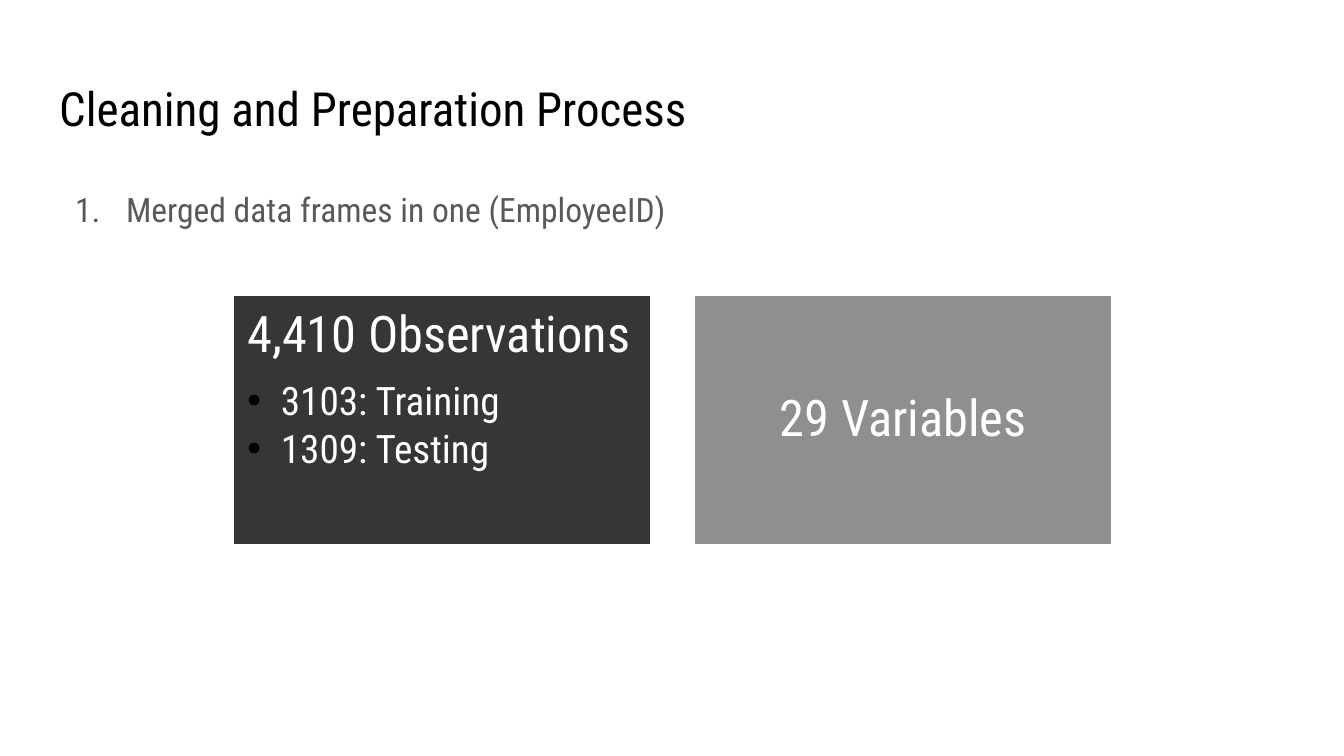
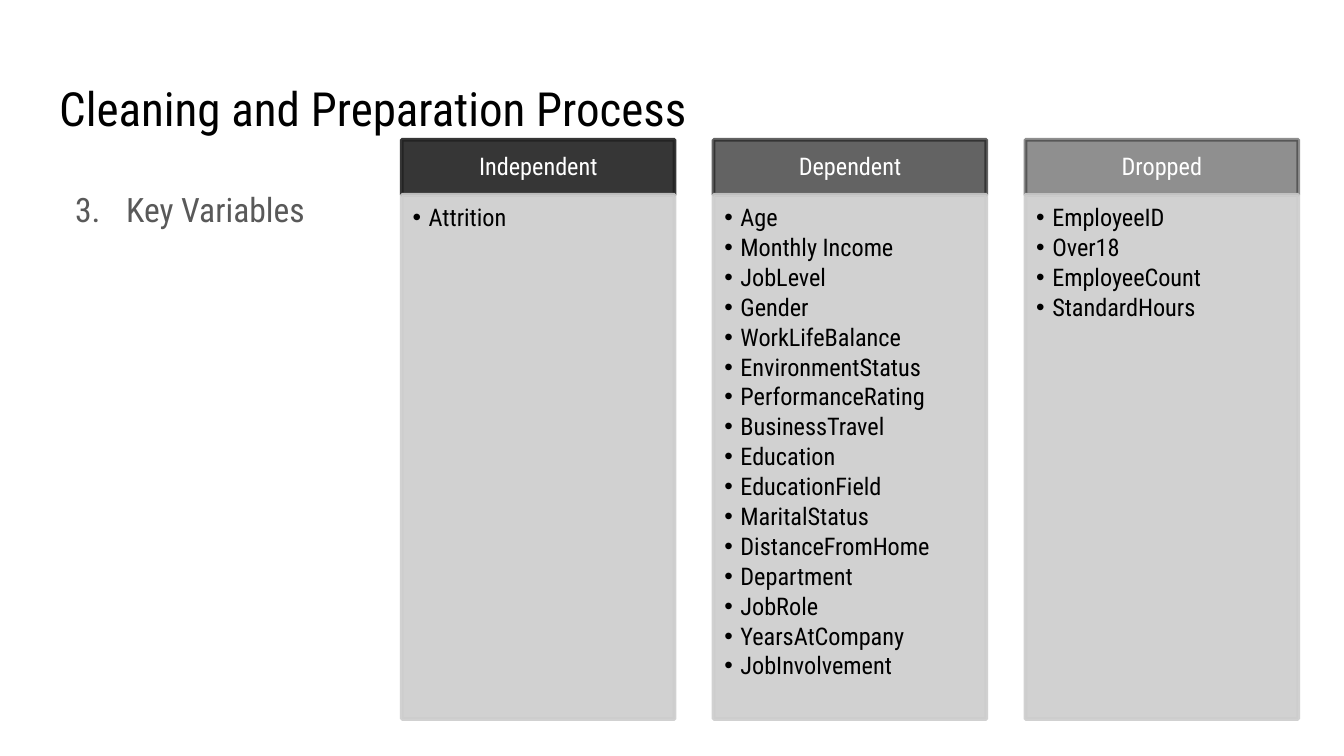
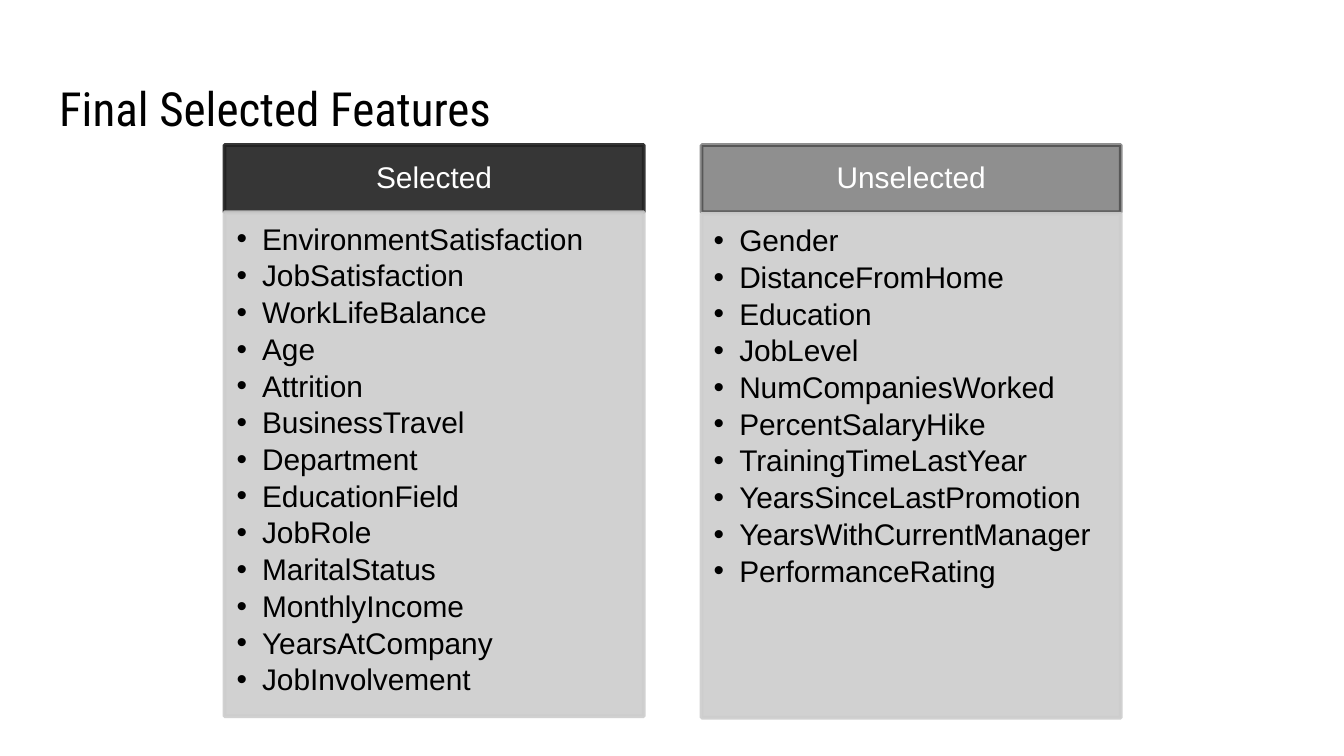
from lxml.etree import SubElement
from pptx import Presentation
from pptx.dml.color import RGBColor
from pptx.enum.shapes import MSO_SHAPE
from pptx.enum.text import MSO_ANCHOR, MSO_AUTO_SIZE, PP_ALIGN
from pptx.oxml.ns import qn
from pptx.util import Inches, Pt

BLACK, WHITE, INK, GRAY, STEP_GRAY = "000000", "FFFFFF", "212121", "CDCDCD", "595959"
CONDENSED = "Roboto Condensed"
MARGIN, CONTENT_WIDTH = 0.34, 9.32


def paint(fill, color, opacity=100):
    """Give a fill, line fill or font fill a solid colour; opacity is in percent."""
    fill.solid()
    fill.fore_color.rgb = RGBColor.from_string(color)
    if opacity < 100:
        SubElement(fill._xPr.find(qn("a:solidFill"))[0], qn("a:alpha"), val=str(opacity * 1000))


def write(frame, insets, anchor, paragraphs):
    """Fill a text frame; insets run left, top, right, bottom, paragraphs are (text, style)."""
    margins = zip(("left", "top", "right", "bottom"), insets)
    settings = {f"margin_{side}": Inches(inset) for side, inset in margins}
    settings |= {"word_wrap": True, "auto_size": MSO_AUTO_SIZE.NONE, "vertical_anchor": anchor}
    for name, value in settings.items():
        setattr(frame, name, value)
    for index, (text, style) in enumerate(paragraphs):
        paragraph = frame.add_paragraph() if index else frame.paragraphs[0]
        paragraph.alignment = style.get("align", PP_ALIGN.LEFT)
        paragraph.level = style.get("level", 0)
        paragraph.line_spacing = style.get("spacing", 1.0)
        run = paragraph.add_run()
        run.text = text
        run.font.name, run.font.size = style["font"], Pt(style["size"])
        paint(run.font.fill, style["color"])

        properties = paragraph._p.get_or_add_pPr()
        if "after" in style:
            after = SubElement(properties, qn("a:spcAft"))
            SubElement(after, qn("a:spcPct"), val=str(style["after"] * 1000))
        if "indent" in style:
            left, first = style["indent"]
            properties.set("marL", str(Inches(left)))
            properties.set("indent", str(Inches(first)))
            bullet_color = SubElement(properties, qn("a:buClr"))
            SubElement(bullet_color, qn("a:srgbClr"), val=style["bullet_color"])
            if "number" in style:
                SubElement(properties, qn("a:buFont"), typeface=style["font"])
                SubElement(properties, qn("a:buAutoNum"), type="arabicPeriod",
                           startAt=str(style["number"]))
            else:
                SubElement(properties, qn("a:buFont"), typeface="Arial")
                SubElement(properties, qn("a:buChar"), char="•")


title_style = {"font": CONDENSED, "size": 25.2, "color": BLACK}
step_style = {"font": CONDENSED, "size": 18, "color": STEP_GRAY, "spacing": 1.15,
              "indent": (0.5, -0.38), "bullet_color": STEP_GRAY}
heading_style = {"color": WHITE, "spacing": 0.9, "after": 35}
centered_style = heading_style | {"align": PP_ALIGN.CENTER}
item_style = {"color": BLACK, "spacing": 0.9, "after": 15, "level": 1, "bullet_color": BLACK}

# Panels: box, fill, line, insets, anchor, paragraphs
count_font = {"font": CONDENSED, "size": 27}
split_style = item_style | {"font": CONDENSED, "size": 21, "color": WHITE, "indent": (0.25, -0.25)}
counts = [
    (90, MSO_ANCHOR.TOP, [("4,410 Observations", heading_style | count_font),
                          ("3103: Training", split_style),
                          ("1309: Testing", split_style)]),
    (50, MSO_ANCHOR.MIDDLE, [("29 Variables", centered_style | count_font)]),
]
count_panels = [
    ((1.73 + 3.43 * column, 2.19, 3.12, 1.87), (INK, opacity), (WHITE, 100),
     (0.11,) * 4, anchor, paragraphs)
    for column, (opacity, anchor, paragraphs) in enumerate(counts)
]

variable_lists = {
    "left": 2.99, "pitch": 2.32, "width": 2.03, "top": 1.04, "heading": 0.41, "body": 3.9,
    "font": {"font": CONDENSED, "size": 13}, "indent": (0.12, -0.12),
    "heading_insets": (0.1, 0.06, 0.1, 0.06), "body_insets": (0.08, 0.08, 0.1, 0.11),
    "columns": [
        ("Independent", 90, 1.45, ["Attrition"]),
        ("Dependent", 70, 1.45, [
            "Age", "Monthly Income", "JobLevel", "Gender", "WorkLifeBalance",
            "EnvironmentStatus", "PerformanceRating", "BusinessTravel", "Education",
            "EducationField", "MaritalStatus", "DistanceFromHome", "Department", "JobRole",
            "YearsAtCompany", "JobInvolvement"]),
        ("Dropped", 50, 1.45, ["EmployeeID", "Over18", "EmployeeCount", "StandardHours"]),
    ],
}
feature_lists = {
    "left": 1.67, "pitch": 3.55, "width": 3.12, "top": 1.08, "heading": 0.5, "body": 3.75,
    "font": {"font": "Arial", "size": 16}, "indent": (0.19, -0.19),
    "heading_insets": (0.12, 0.07, 0.12, 0.07), "body_insets": (0.09, 0.09, 0.12, 0.14),
    "columns": [
        ("Selected", 90, 1.58, [
            "EnvironmentSatisfaction", "JobSatisfaction", "WorkLifeBalance", "Age", "Attrition",
            "BusinessTravel", "Department", "EducationField", "JobRole", "MaritalStatus",
            "MonthlyIncome", "YearsAtCompany", "JobInvolvement"]),
        ("Unselected", 50, 1.59, [
            "Gender", "DistanceFromHome", "Education", "JobLevel", "NumCompaniesWorked",
            "PercentSalaryHike", "TrainingTimeLastYear", "YearsSinceLastPromotion",
            "YearsWithCurrentManager", "PerformanceRating"]),
    ],
}
list_panels = []
for lists in (variable_lists, feature_lists):
    panels = []
    list_item = item_style | lists["font"] | {"indent": lists["indent"]}
    for column, (heading, opacity, body_top, items) in enumerate(lists["columns"]):
        left = lists["left"] + lists["pitch"] * column
        shade, pale = (INK, opacity), (GRAY, 90)
        panels.append(((left, lists["top"], lists["width"], lists["heading"]), shade, shade,
                       lists["heading_insets"], MSO_ANCHOR.MIDDLE,
                       [(heading, centered_style | lists["font"])]))
        panels.append(((left, body_top, lists["width"], lists["body"]), pale, pale,
                       lists["body_insets"], MSO_ANCHOR.TOP,
                       [(item, list_item) for item in items]))
    list_panels.append(panels)
variable_panels, feature_panels = list_panels

pages = [
    ("Cleaning and Preparation Process", (1, "Merged data frames in one (EmployeeID)"), count_panels),
    ("Cleaning and Preparation Process", (3, "Key Variables"), variable_panels),
    ("Final Selected Features", None, feature_panels),
]

deck = Presentation()
deck.slide_width = Inches(10)
deck.slide_height = deck.slide_width * 9 // 16
title_only = deck.slide_layouts[5]

for heading, step, panels in pages:
    slide = deck.slides.add_slide(title_only)
    paint(slide.background.fill, WHITE)
    title = slide.shapes.title
    title_box = {"left": MARGIN, "top": 0.49, "width": CONTENT_WIDTH, "height": 0.63}
    for name, value in title_box.items():
        setattr(title, name, Inches(value))
    write(title.text_frame, (0.1,) * 4, MSO_ANCHOR.TOP, [(heading, title_style)])

    if step:
        number, text = step
        step_box = slide.shapes.add_textbox(
            Inches(MARGIN), Inches(1.26), Inches(CONTENT_WIDTH), Inches(3.74))
        write(step_box.text_frame, (0.1,) * 4, MSO_ANCHOR.TOP,
              [(text, step_style | {"number": number})])

    for box, fill, line, insets, anchor, paragraphs in panels:
        panel = slide.shapes.add_shape(MSO_SHAPE.RECTANGLE, *map(Inches, box))
        panel.shadow.inherit = False
        paint(panel.fill, *fill)
        paint(panel.line.fill, *line)
        panel.line.width = Pt(2)
        write(panel.text_frame, insets, anchor, paragraphs)

deck.save("out.pptx")
